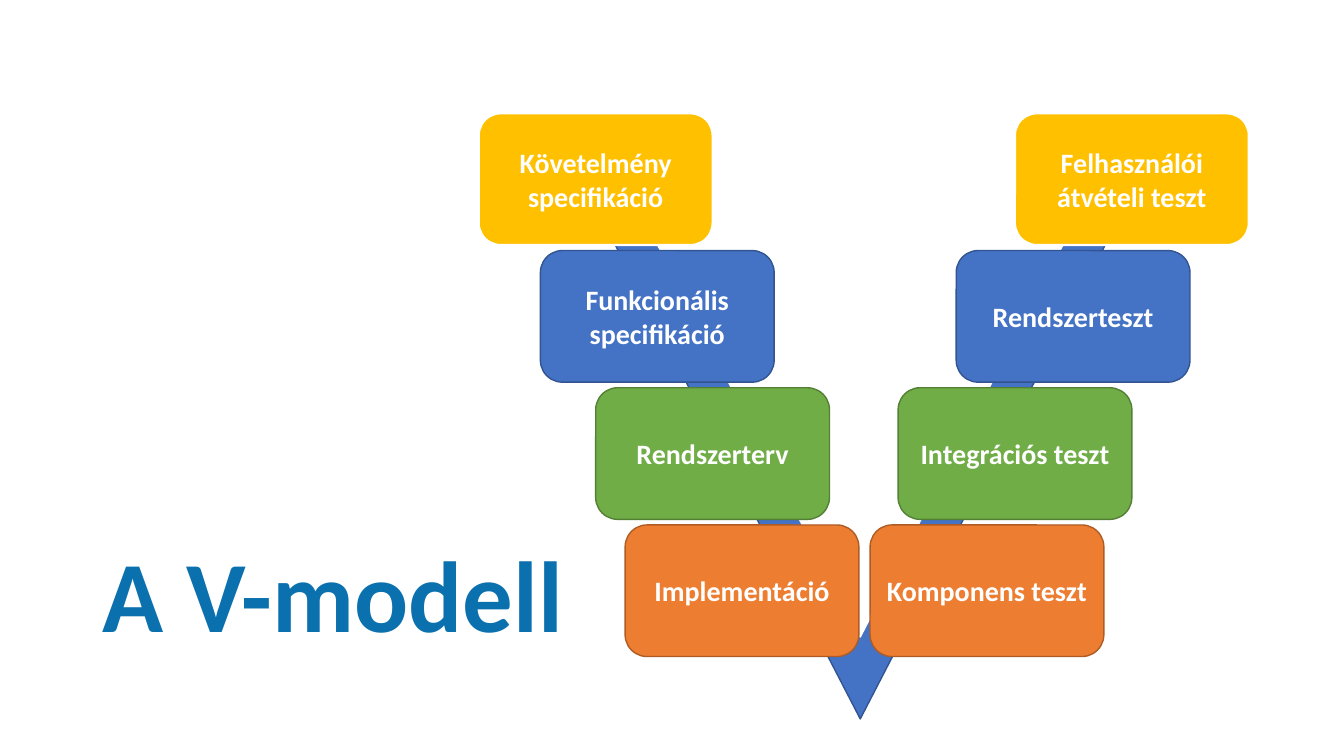
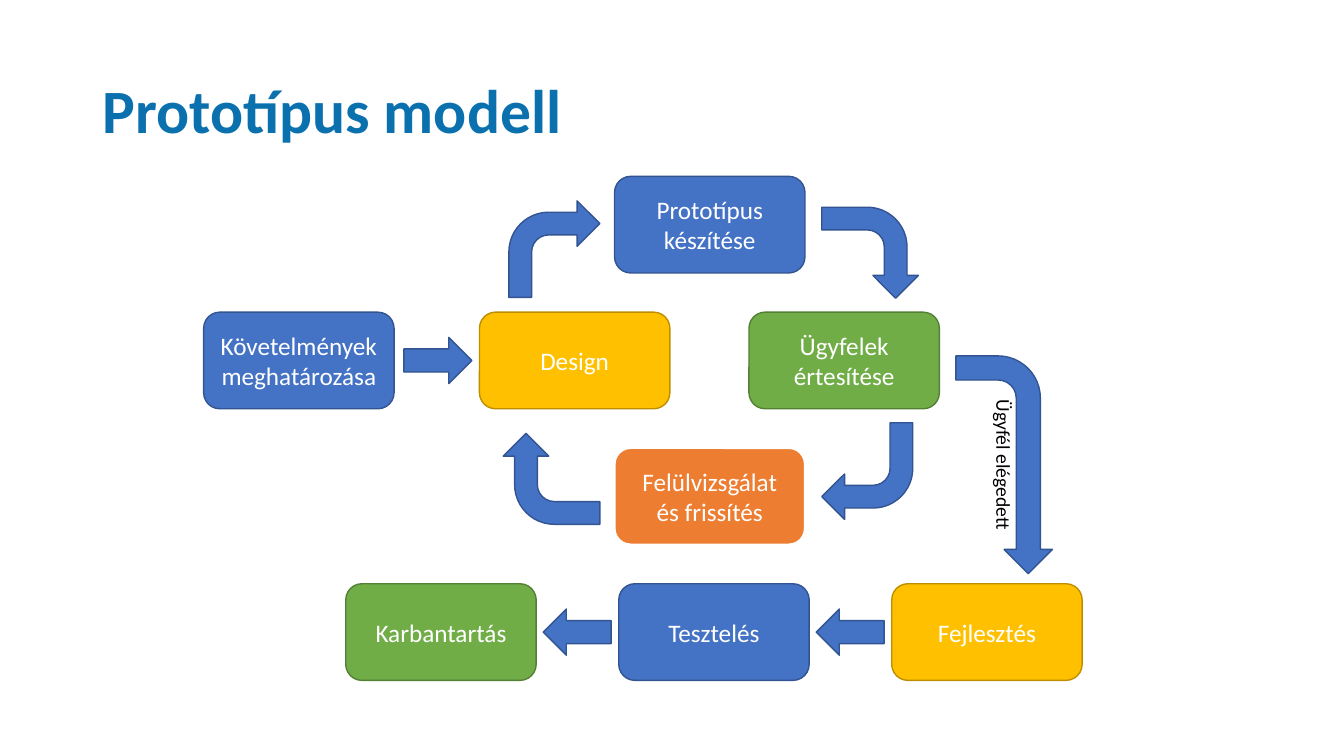
from dataclasses import dataclass

from pptx import Presentation
from pptx.dml.color import RGBColor
from pptx.enum.shapes import MSO_SHAPE
from pptx.enum.text import MSO_ANCHOR, MSO_AUTO_SIZE, PP_ALIGN
from pptx.util import Pt


@dataclass(frozen=True)
class Style:
    fill: str
    line: str
    width: float = 1


@dataclass(frozen=True)
class Theme:
    font: str = "Calibri"
    title: str = "0A70AE"
    white: str = "FFFFFF"
    black: str = "000000"
    cover_size: int = 72
    title_size: int = 44
    level_size: int = 20
    step_size: int = 18
    label_size: int = 14
    blue: Style = Style("4472C4", "325491")
    green: Style = Style("70AD47", "538035")
    orange: Style = Style("ED7D31", "AF5C24")
    gold: Style = Style("FFC000", "BD8E00")
    gold_plain: Style = Style("FFC000", "FFFFFF", 1.5)
    orange_plain: Style = Style("ED7D31", "FFFFFF", 1.5)
    blank: Style = Style("FFFFFF", "FFFFFF")


T = Theme()


def add_run(p, text, size, color, bold=False):
    r = p.add_run()
    r.text = text
    r.font.name = T.font
    r.font.size = Pt(size)
    r.font.bold = bold
    r.font.color.rgb = RGBColor.from_string(color)


def add_slide(prs, title, size, top, height):
    s = prs.slides.add_slide(prs.slide_layouts[5])
    sp = s.shapes.title
    sp.left, sp.top, sp.width, sp.height = Pt(66), Pt(top), Pt(828), Pt(height)
    tf = sp.text_frame
    tf.auto_size = MSO_AUTO_SIZE.NONE
    tf.vertical_anchor = MSO_ANCHOR.MIDDLE
    p = tf.paragraphs[0]
    p.alignment = PP_ALIGN.LEFT
    p.line_spacing = 0.9
    add_run(p, title, size, T.title, bold=True)
    return s


def add_figure(s, kind, x, y, w, h, style, rotation=0):
    sp = s.shapes.add_shape(kind, Pt(x), Pt(y), Pt(w), Pt(h))
    sp.shadow.inherit = False
    sp.rotation = rotation
    sp.fill.solid()
    sp.fill.fore_color.rgb = RGBColor.from_string(style.fill)
    sp.line.color.rgb = RGBColor.from_string(style.line)
    sp.line.width = Pt(style.width)
    return sp


def add_label(sp, text, size, color=T.white, bold=False, margin=7.5):
    tf = sp.text_frame
    tf.word_wrap = True
    tf.vertical_anchor = MSO_ANCHOR.MIDDLE
    tf.margin_left = tf.margin_right = Pt(margin)
    p = tf.paragraphs[0]
    p.alignment = PP_ALIGN.CENTER
    add_run(p, text, size, color, bold)


def build_v_model(prs):
    s = add_slide(prs, "A V-modell", T.cover_size, 340.5, 176.5)

    # The V: a blue triangle with a white one covering its upper part
    for top, style in ((85, T.blue), (26.5, T.blank)):
        add_figure(s, MSO_SHAPE.FLOWCHART_MERGE, 393, top, 443, 428.5, style)

    # Levels from top to bottom: style, then left and right box
    levels = [
        (T.gold_plain, (342, "Követelmény specifikáció"), (725, "Felhasználói átvételi teszt")),
        (T.blue, (386, "Funkcionális specifikáció"), (683, "Rendszerteszt")),
        (T.green, (425.5, "Rendszerterv"), (641.5, "Integrációs teszt")),
        (T.orange, (446.5, "Implementáció"), (621.5, "Komponens teszt")),
    ]
    for i, (style, *boxes) in enumerate(levels):
        for x, text in boxes:
            sp = add_figure(s, MSO_SHAPE.ROUNDED_RECTANGLE,
                            x, 81 + 98 * i, 167, 94, style)
            add_label(sp, text, T.level_size, bold=True, margin=6)


def build_prototype_model(prs):
    s = add_slide(prs, "Prototípus modell", T.title_size, 29, 104)
    box_w, box_h = 136, 69

    # Steps: left edge, row, style, text
    steps = [
        (145.5, 1, T.blue, "Követelmények meghatározása"),
        (342.5, 1, T.gold, "Design"),
        (439, 0, T.blue, "Prototípus készítése"),
        (535, 1, T.green, "Ügyfelek értesítése"),
        (439, 2, T.orange_plain, "Felülvizsgálat és frissítés"),
        (637, 3, T.gold, "Fejlesztés"),
        (442, 3, T.blue, "Tesztelés"),
        (247, 3, T.green, "Karbantartás"),
    ]
    for x, row, style, text in steps:
        sp = add_figure(s, MSO_SHAPE.ROUNDED_RECTANGLE,
                        x, 126 + 97 * row, box_w, box_h, style)
        add_label(sp, text, T.step_size)

    # Bent arrows of the cycle, clockwise from the upper left
    corners = [(363.5, 143.5), (589, 146), (587, 302), (361.5, 307.5)]
    for i, (x, y) in enumerate(corners):
        add_figure(s, MSO_SHAPE.BENT_ARROW, x, y, 65, box_h, T.blue, 90 * i)

    # Straight arrows
    for x, y, rotation in ((288.5, 241, 0), (388, 435, 180), (583, 435, 180)):
        add_figure(s, MSO_SHAPE.RIGHT_ARROW, x, y, 48.5, 33, T.blue, rotation)

    # Way out of the cycle
    sp = add_figure(s, MSO_SHAPE.BENT_ARROW, 639.5, 297.5, 155.5, box_h, T.blue, 90)
    add_label(sp, "Ügyfél elégedett", T.label_size, T.black)


def main():
    prs = Presentation()
    prs.slide_width, prs.slide_height = Pt(960), Pt(540)
    build_v_model(prs)
    build_prototype_model(prs)
    prs.save("out.pptx")


if __name__ == "__main__":
    main()
